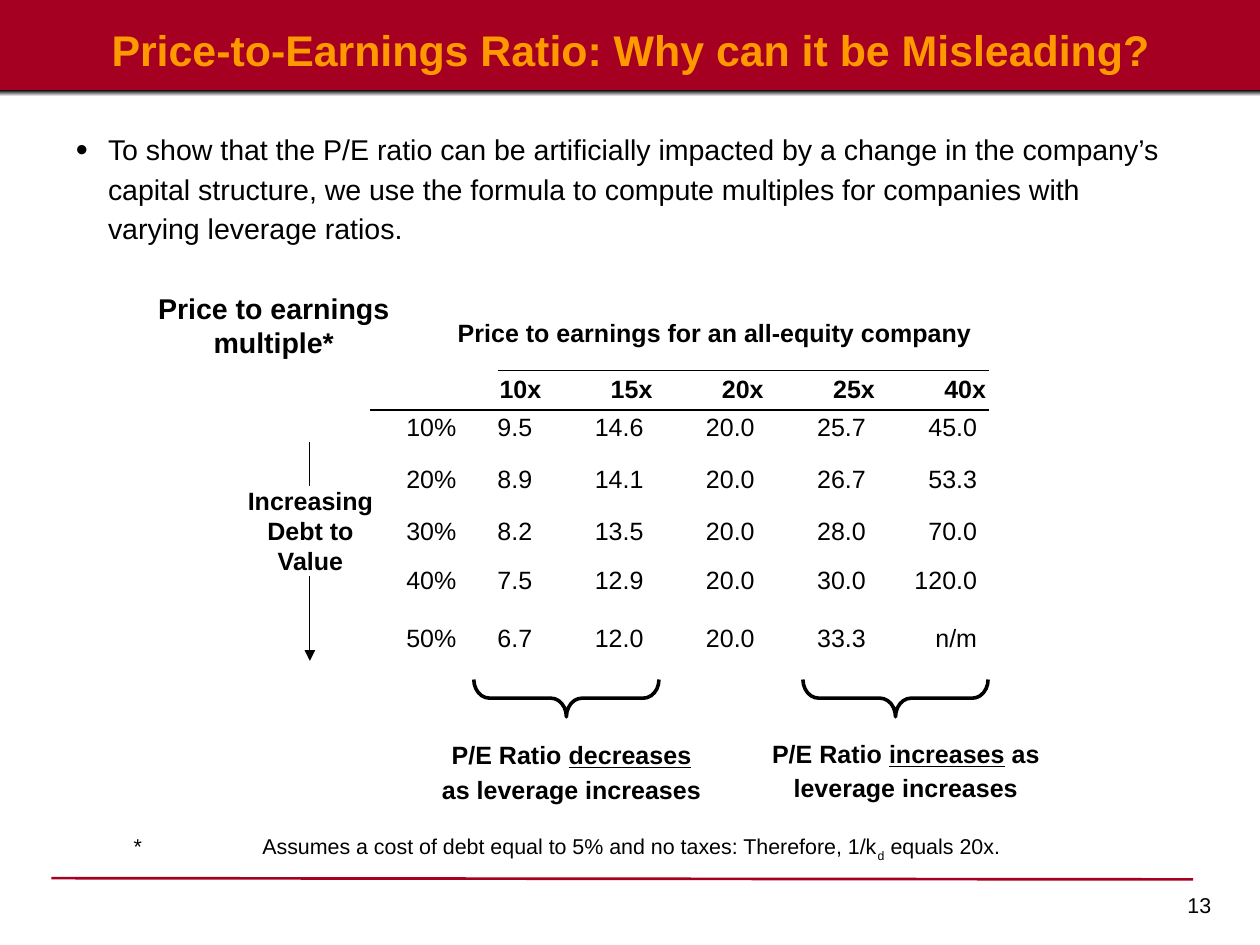
from dataclasses import dataclass
from lxml.etree import SubElement
from pptx import Presentation
from pptx.dml.color import RGBColor
from pptx.enum.shapes import MSO_CONNECTOR, MSO_SHAPE
from pptx.enum.text import MSO_ANCHOR, MSO_AUTO_SIZE, PP_ALIGN
from pptx.oxml.ns import qn
from pptx.util import Inches, Pt

# Content
TITLE = "Price-to-Earnings Ratio: Why can it be Misleading?"
BULLET = ("To show that the P/E ratio can be artificially impacted by a change in "
          "the company’s capital structure, we use the formula to compute multiples "
          "for companies with varying leverage ratios.")
CORNER_LABEL = "Price to earnings multiple*"
TABLE_HEADING = "Price to earnings for an all-equity company"
MULTIPLES = [
    ("", "10x", "15x", "20x", "25x", "40x"),
    ("10%", "9.5", "14.6", "20.0", "25.7", "45.0"),
    ("20%", "8.9", "14.1", "20.0", "26.7", "53.3"),
    ("30%", "8.2", "13.5", "20.0", "28.0", "70.0"),
    ("40%", "7.5", "12.9", "20.0", "30.0", "120.0"),
    ("50%", "6.7", "12.0", "20.0", "33.3", "n/m"),
]
ARROW_LABEL = "Increasing Debt to Value"
# Each conclusion: underlined word, left and top of text, left of brace
CONCLUSIONS = [("decreases", 3.3, 5.67, 4.26), ("increases", 5.9, 5.66, 6.82)]
FOOTNOTE = ("*\tAssumes a cost of debt equal to 5% and no taxes: Therefore, 1/k",
            "d", " equals 20x.")
PAGE_NUMBER = "13"

# Layout, in inches
TABLE_LEFT, TABLE_TOP = 3.16, 2.92
COLUMN_WIDTHS = [0.45, 0.6] + [0.865] * 4
ROW_HEIGHTS = [0.3, 0.4, 0.41, 0.38, 0.45, 0.25]
BODY_INSET = 0.07
NO_STYLE_TABLE = "{2D5ABB26-0587-4C30-8999-92F81FD0307C}"


@dataclass(frozen=True)
class Theme:
    font: str = "Arial"
    red: RGBColor = RGBColor(0xA5, 0x00, 0x21)
    orange: RGBColor = RGBColor(0xFF, 0x99, 0x00)
    black: RGBColor = RGBColor(0, 0, 0)
    white: RGBColor = RGBColor(0xFF, 0xFF, 0xFF)
    title: int = 24
    body: int = 16
    table: int = 14
    note: int = 12


THEME = Theme()


def style(paragraph, size, bold=False, color=THEME.black, align=PP_ALIGN.LEFT):
    font = paragraph.font
    font.name, font.size, font.bold = THEME.font, Pt(size), bold
    font.color.rgb = color
    paragraph.alignment = align


def place(shape, left, top, width, height):
    shape.left, shape.top = Inches(left), Inches(top)
    shape.width, shape.height = Inches(width), Inches(height)


def set_frame(shape, inset_x=0, inset_y=0, anchor=MSO_ANCHOR.TOP):
    frame = shape.text_frame
    frame.word_wrap, frame.auto_size = True, MSO_AUTO_SIZE.NONE
    frame.vertical_anchor = anchor
    frame.margin_left = frame.margin_right = Inches(inset_x)
    frame.margin_top = frame.margin_bottom = Inches(inset_y)
    return frame.paragraphs[0]


def add_text(slide, box, runs, size, inset_x=0, inset_y=0,
             anchor=MSO_ANCHOR.TOP, **look):
    shape = slide.shapes.add_textbox(*map(Inches, box))
    paragraph = set_frame(shape, inset_x, inset_y, anchor)
    for text in runs:
        paragraph.add_run().text = text
    style(paragraph, size, **look)
    return paragraph


def add_block(slide, kind, box, fill=None):
    shape = slide.shapes.add_shape(kind, *map(Inches, box))
    shape.shadow.inherit = False
    shape.line.fill.background()
    if fill is None:
        shape.fill.background()
    else:
        shape.fill.solid()
        shape.fill.fore_color.rgb = fill
    return shape


def add_line(slide, start, end, color=THEME.black, width=0.75, arrow=False):
    line = slide.shapes.add_connector(
        MSO_CONNECTOR.STRAIGHT, *map(Inches, start + end))
    line.line.color.rgb, line.line.width = color, Pt(width)
    if arrow:
        SubElement(line.line._get_or_add_ln(), qn("a:tailEnd"), type="triangle")
    SubElement(line._element.spPr, qn("a:effectLst"))


def add_banner(slide):
    add_block(slide, MSO_SHAPE.RECTANGLE, (0, 0, 9.8, 0.71), THEME.red)
    shade = add_block(slide, MSO_SHAPE.RECTANGLE, (0, 0.7, 9.8, 0.05))
    shade.fill.gradient()
    shade.fill.gradient_angle = 270
    for stop, color in zip(shade.fill.gradient_stops, (THEME.black, THEME.white)):
        stop.color.rgb = color
    title = slide.shapes.title
    slide.shapes._spTree.append(title._element)  # bring in front of the banner
    place(title, 0.19, 0.18, 9.43, 0.4)
    paragraph = set_frame(title)
    paragraph.text = TITLE
    style(paragraph, THEME.title, True, THEME.orange, PP_ALIGN.CENTER)


def add_bullet(slide):
    body = slide.placeholders[1]
    place(body, 0.49, 0.94, 8.69, 1.02)
    paragraph = set_frame(body, 0.1, 0.05)
    paragraph.text = BULLET
    props = paragraph._p.get_or_add_pPr()
    props.set("marL", str(Inches(0.25)))
    props.set("indent", str(Inches(-0.25)))
    color = SubElement(props, qn("a:buClr"))
    SubElement(color, qn("a:srgbClr"), val=str(THEME.black))
    SubElement(props, qn("a:buSzPct"), val="120000")
    SubElement(props, qn("a:buFont"), typeface=THEME.font)
    SubElement(props, qn("a:buChar"), char="•")
    paragraph.line_spacing, paragraph.space_before = 1.15, Pt(10)
    style(paragraph, THEME.body)


def add_multiples(slide):
    add_line(slide, (3.87, 2.88), (7.69, 2.88))
    add_line(slide, (2.88, 3.19), (7.69, 3.19))
    table = slide.shapes.add_table(
        len(ROW_HEIGHTS), len(COLUMN_WIDTHS), Inches(TABLE_LEFT), Inches(TABLE_TOP),
        Inches(sum(COLUMN_WIDTHS)), Inches(sum(ROW_HEIGHTS))).table
    table.first_row = table.horz_banding = False
    table._tbl.tblPr.find(qn("a:tableStyleId")).text = NO_STYLE_TABLE
    for column, width in zip(table.columns, COLUMN_WIDTHS):
        column.width = Inches(width)
    for r, (values, height) in enumerate(zip(MULTIPLES, ROW_HEIGHTS)):
        table.rows[r].height = Inches(height)
        for c, value in enumerate(values):
            cell = table.cell(r, c)
            cell.fill.background()
            cell.margin_left = cell.margin_top = cell.margin_bottom = 0
            cell.margin_right = Inches(BODY_INSET if r and c else 0)
            cell.text = value
            style(cell.text_frame.paragraphs[0], THEME.table, bold=r == 0,
                  align=PP_ALIGN.RIGHT if c else PP_ALIGN.LEFT)


def add_leverage_arrow(slide):
    add_line(slide, (2.41, 3.44), (2.41, 5.14), arrow=True)
    label = add_block(slide, MSO_SHAPE.RECTANGLE, (1.83, 3.78, 1.17, 0.7), THEME.white)
    paragraph = set_frame(label)
    paragraph.text = ARROW_LABEL
    style(paragraph, THEME.table, True, align=PP_ALIGN.CENTER)


def add_conclusion(slide, trend, left, top, brace_left):
    brace = add_block(slide, MSO_SHAPE.RIGHT_BRACE, (brace_left, 4.71, 0.29, 1.44))
    brace.rotation = 90
    brace.adjustments[0] = 0.42
    brace.line.color.rgb, brace.line.width = THEME.black, Pt(2)
    paragraph = add_text(
        slide, (left, top, 2.29, 0.64), ("P/E Ratio ", trend, " as leverage increases"),
        THEME.table, 0.1, 0.05, bold=True, align=PP_ALIGN.CENTER)
    paragraph.line_spacing, paragraph.space_before = 1.15, Pt(8.8)
    paragraph.runs[1].font.underline = True


def add_footer(slide):
    note = add_text(slide, (1.04, 6.48, 8.32, 0.23), FOOTNOTE, THEME.note,
                    anchor=MSO_ANCHOR.BOTTOM)
    note.runs[1].font._element.set("baseline", "-25000")
    tabs = SubElement(note._p.pPr, qn("a:tabLst"))
    note._p.pPr.insert(0, tabs)
    SubElement(tabs, qn("a:tab"), pos=str(Inches(1)), algn="l")
    add_line(slide, (0.4, 6.83), (9.28, 6.84), THEME.red, 1.5)
    add_text(slide, (7.19, 6.89, 2.33, 0.28), (PAGE_NUMBER,), THEME.note,
             0.1, 0.05, align=PP_ALIGN.RIGHT)


def main():
    prs = Presentation()
    prs.slide_width, prs.slide_height = Inches(9.8), Inches(7.35)
    slide = prs.slides.add_slide(prs.slide_layouts[1])
    add_banner(slide)
    add_bullet(slide)
    add_text(slide, (1.2, 2.26, 1.86, 0.53), (CORNER_LABEL,), THEME.body,
             bold=True, align=PP_ALIGN.CENTER)
    add_text(slide, (3.56, 2.47, 4.42, 0.23), (TABLE_HEADING,), THEME.table, bold=True)
    add_multiples(slide)
    add_leverage_arrow(slide)
    for conclusion in CONCLUSIONS:
        add_conclusion(slide, *conclusion)
    add_footer(slide)
    prs.save("out.pptx")


if __name__ == "__main__":
    main()
